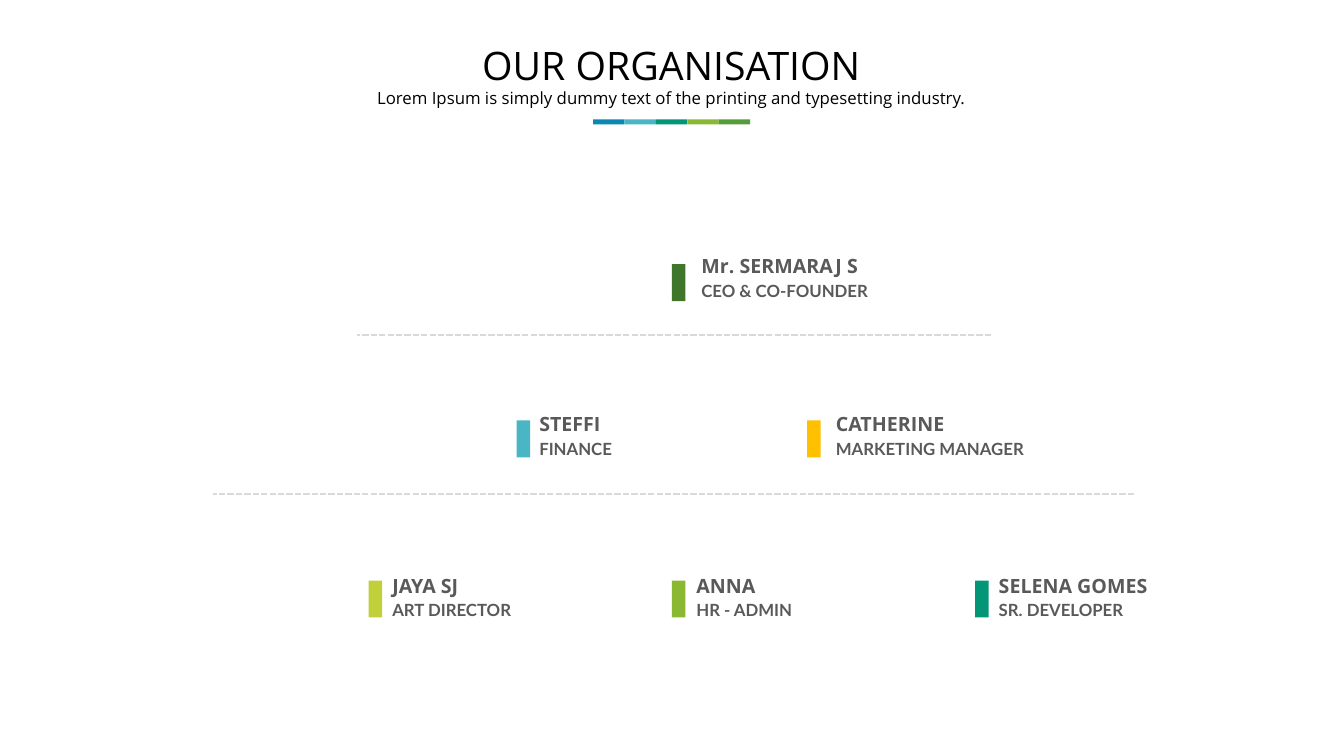
from typing import NamedTuple

from pptx import Presentation
from pptx.dml.color import RGBColor
from pptx.enum.dml import MSO_LINE
from pptx.enum.shapes import MSO_CONNECTOR, MSO_SHAPE
from pptx.enum.text import MSO_ANCHOR, PP_ALIGN
from pptx.oxml.ns import qn
from pptx.shapes.shapetree import GroupShapes, SlideShapes
from pptx.text.text import _Paragraph as Paragraph
from pptx.util import Inches, Length, Pt
from lxml.etree import SubElement

COLUMNS, ROWS = 160, 90
CELLS_PER_INCH = 12

BLACK = RGBColor(0x00, 0x00, 0x00)
GRAY = RGBColor(0x59, 0x59, 0x59)
LIGHT_GRAY = RGBColor(0xD9, 0xD9, 0xD9)
BLUE = RGBColor(0x09, 0x89, 0xB1)
AQUA = RGBColor(0x4A, 0xB5, 0xC4)
TEAL = RGBColor(0x02, 0x96, 0x76)
LIME = RGBColor(0x8A, 0xB8, 0x33)
GREEN = RGBColor(0x54, 0x9E, 0x39)
FOREST = RGBColor(0x3F, 0x76, 0x2B)
YELLOW_GREEN = RGBColor(0xC0, 0xCF, 0x3A)
AMBER = RGBColor(0xFF, 0xC0, 0x00)

HEADING_FONT, ROLE_FONT = "Open Sans", "Lato"
MARKER_WIDTH, MARKER_HEIGHT = 1.6, 4.4
MEMBER_WIDTH, MEMBER_HEIGHT = 32.5, 6
ACCENT_LEFT, ACCENT_TOP, ACCENT_WIDTH, ACCENT_HEIGHT = 70.6, 14.2, 3.74, 0.6
ACCENTS = (BLUE, AQUA, TEAL, LIME, GREEN)


class Box(NamedTuple):
    left: float
    top: float
    width: float
    height: float


class Member(NamedTuple):
    name: str
    role: str
    color: RGBColor
    marker_left: float
    text_left: float


class Tier(NamedTuple):
    marker_top: float
    text_top: float
    members: tuple[Member, ...]


class Divider(NamedTuple):
    left: float
    right: float
    row: float


class Heading(NamedTuple):
    text: str
    size: float
    box: Box
    anchor: MSO_ANCHOR


TIERS = (
    Tier(31.44, 30.24, (
        Member("Mr. SERMARAJ S", "CEO & CO-FOUNDER", FOREST, 80, 83.5),
    )),
    Tier(50.04, 49.08, (
        Member("STEFFI", "FINANCE", AQUA, 61.5, 64.2),
        Member("CATHERINE", "MARKETING MANAGER", AMBER, 96.1, 99.5),
    )),
    Tier(69.12, 68.28, (
        Member("JAYA SJ", "ART DIRECTOR", YELLOW_GREEN, 43.9, 46.7),
        Member("ANNA", "HR - ADMIN", LIME, 80, 82.9),
        Member("SELENA GOMES", "SR. DEVELOPER", TEAL, 116.1, 118.9),
    )),
)

DIVIDERS = (Divider(42.5, 118, 39.9), Divider(25.4, 135, 58.8))

HEADINGS = (
    Heading("OUR ORGANISATION", 28, Box(32.5, 4.8, 94.8, 5.9), MSO_ANCHOR.MIDDLE),
    Heading("Lorem Ipsum is simply dummy text of the printing and typesetting industry.",
            12, Box(39.5, 9.8, 80.9, 3.6), MSO_ANCHOR.TOP),
)


def cells(count: float) -> Length:
    return Inches(count / CELLS_PER_INCH)


def add_bar(shapes: SlideShapes | GroupShapes, box: Box, color: RGBColor) -> None:
    bar = shapes.add_shape(MSO_SHAPE.RECTANGLE, *map(cells, box))
    bar.shadow.inherit = False
    bar.fill.solid()
    bar.fill.fore_color.rgb = color
    bar.line.fill.background()


def write(paragraph: Paragraph, text: str, font: str, size: float, color: RGBColor,
          bold: bool = False) -> None:
    paragraph.text = text
    paragraph.font.name = font
    paragraph.font.size = Pt(size)
    paragraph.font.bold = bold
    paragraph.font.color.rgb = color


def add_heading(shapes: SlideShapes, heading: Heading) -> None:
    frame = shapes.add_textbox(*map(cells, heading.box)).text_frame
    frame.word_wrap = True
    frame.vertical_anchor = heading.anchor
    line = frame.paragraphs[0]
    line.alignment = PP_ALIGN.CENTER
    write(line, heading.text, HEADING_FONT, heading.size, BLACK)


def add_member(shapes: SlideShapes, tier: Tier, member: Member) -> None:
    add_bar(shapes, Box(member.marker_left, tier.marker_top, MARKER_WIDTH, MARKER_HEIGHT),
            member.color)
    box = Box(member.text_left, tier.text_top, MEMBER_WIDTH, MEMBER_HEIGHT)
    frame = shapes.add_textbox(*map(cells, box)).text_frame
    frame.word_wrap = True
    frame.margin_left = frame.margin_right = frame.margin_top = frame.margin_bottom = 0
    write(frame.paragraphs[0], member.name, HEADING_FONT, 14, GRAY, bold=True)
    role = frame.add_paragraph()
    role.space_before = Pt(2)
    write(role, member.role, ROLE_FONT, 12, GRAY, bold=True)


def add_divider(shapes: SlideShapes, divider: Divider) -> None:
    row = cells(divider.row)
    rule = shapes.add_connector(MSO_CONNECTOR.STRAIGHT, cells(divider.right), row,
                                cells(divider.left), row)
    rule.line.color.rgb = LIGHT_GRAY
    rule.line.width = Pt(1.5)
    rule.line.dash_style = MSO_LINE.SQUARE_DOT
    SubElement(rule._element.spPr, qn("a:effectLst"))


def main() -> None:
    deck = Presentation()
    deck.slide_width, deck.slide_height = cells(COLUMNS), cells(ROWS)
    shapes = deck.slides.add_slide(deck.slide_layouts[6]).shapes

    for divider in DIVIDERS:
        add_divider(shapes, divider)
    for tier in TIERS:
        for member in tier.members:
            add_member(shapes, tier, member)
    for heading in HEADINGS:
        add_heading(shapes, heading)
    accent_strip = shapes.add_group_shape().shapes
    for index, color in enumerate(ACCENTS):
        left = ACCENT_LEFT + index * ACCENT_WIDTH
        add_bar(accent_strip, Box(left, ACCENT_TOP, ACCENT_WIDTH, ACCENT_HEIGHT), color)

    deck.save("out.pptx")


if __name__ == "__main__":
    main()
